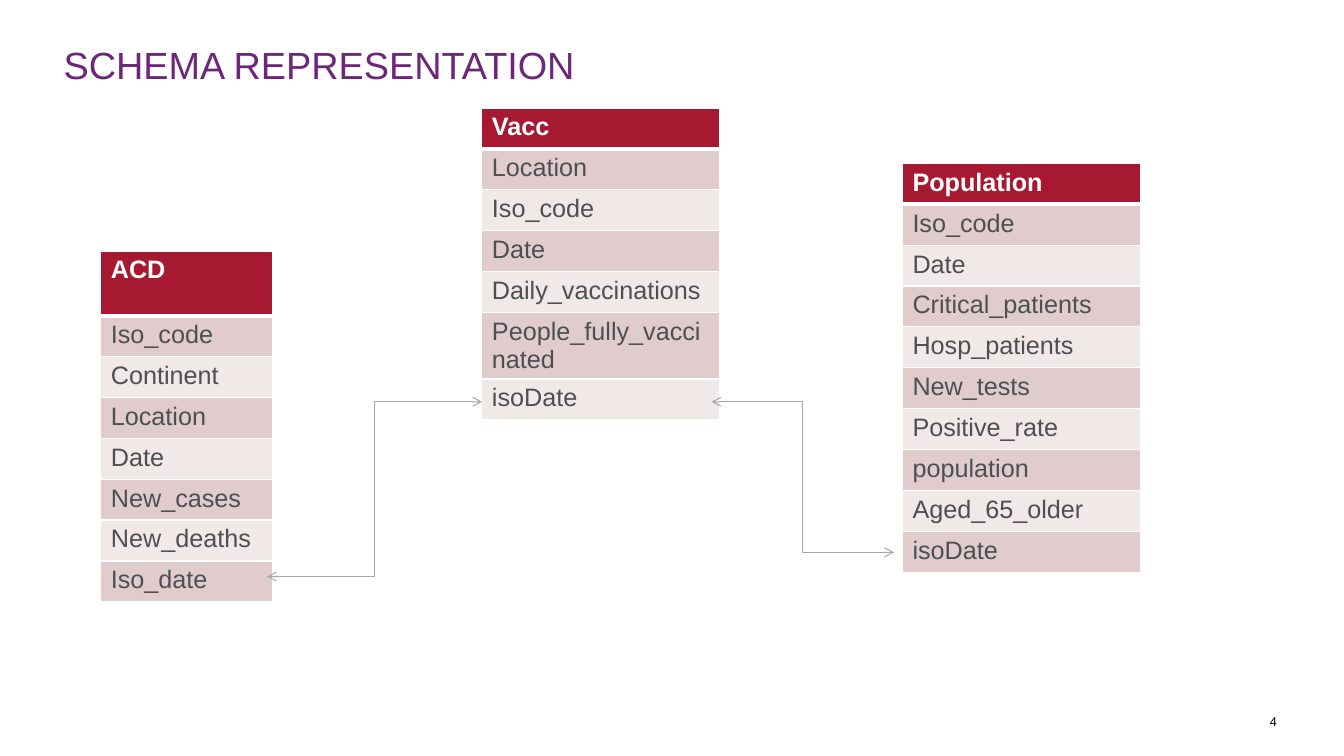
from dataclasses import dataclass

from lxml import etree
from pptx import Presentation
from pptx.dml.color import RGBColor
from pptx.enum.shapes import MSO_CONNECTOR
from pptx.enum.text import MSO_ANCHOR, MSO_AUTO_SIZE, PP_ALIGN
from pptx.oxml.ns import qn
from pptx.util import Pt

ELBOW = MSO_CONNECTOR.ELBOW
MIDDLE = MSO_ANCHOR.MIDDLE
NO_AUTOFIT = MSO_AUTO_SIZE.NONE
LEFT, RIGHT = PP_ALIGN.LEFT, PP_ALIGN.RIGHT


@dataclass(frozen=True)
class Theme:
    font: str = "Arial"
    title: str = "6E267B"
    header: str = "A71930"
    bands: tuple = ("E1CCCD", "F1E8E8")
    field: str = "4D4F53"
    white: str = "FFFFFF"
    line: str = "A6A6A6"
    number: str = "000000"
    title_size: float = 27
    table_size: float = 18
    number_size: float = 9


THEME = Theme()
ROW_HEIGHT = 29.2


def format_text(text_frame, size, color, alignment=LEFT, bold=False):
    paragraph = text_frame.paragraphs[0]
    paragraph.alignment = alignment
    font = paragraph.runs[0].font
    font.name = THEME.font
    font.size = Pt(size)
    font.bold = bold
    font.color.rgb = RGBColor.from_string(color)


def add_border(cell, side, width):
    properties = cell._tc.get_or_add_tcPr()
    border = etree.SubElement(properties, qn(f"a:ln{side}"), w=str(Pt(width)))
    fill = etree.SubElement(border, qn("a:solidFill"))
    etree.SubElement(fill, qn("a:srgbClr"), val=THEME.white)


presentation = Presentation()
presentation.slide_width = Pt(960)
presentation.slide_height = Pt(540)
slide = presentation.slides.add_slide(presentation.slide_layouts[5])

title = slide.shapes.title
title.left, title.top, title.width, title.height = Pt(45.4), Pt(20.9), Pt(864), Pt(50.4)
title.text_frame.text = "SCHEMA REPRESENTATION"
format_text(title.text_frame, THEME.title_size, THEME.title)

number = slide.shapes.add_textbox(Pt(871.2), Pt(501.1), Pt(41), Pt(28.8))
number.text_frame.text = "4"
format_text(number.text_frame, THEME.number_size, THEME.number, RIGHT)

for shape in (title, number):
    text_frame = shape.text_frame
    text_frame.word_wrap = True
    text_frame.auto_size = NO_AUTOFIT
    text_frame.vertical_anchor = MIDDLE
    text_frame.margin_left = text_frame.margin_right = 0

schema = [
    ("ACD", 72, 179.3, 123, 46.2,
     ["Iso_code", "Continent", "Location", "Date", "New_cases", "New_deaths", "Iso_date"]),
    ("Vacc", 344.2, 77.2, 170, ROW_HEIGHT,
     ["Location", "Iso_code", "Date", "Daily_vaccinations", "People_fully_vaccinated", "isoDate"]),
    ("Population", 644.6, 116.7, 170, ROW_HEIGHT,
     ["Iso_code", "Date", "Critical_patients", "Hosp_patients", "New_tests", "Positive_rate",
      "population", "Aged_65_older", "isoDate"]),
]
for name, left, top, width, header_height, fields in schema:
    height = header_height + ROW_HEIGHT * len(fields)
    frame = slide.shapes.add_table(len(fields) + 1, 1, Pt(left), Pt(top), Pt(width), Pt(height))
    table = frame.table
    table.horz_banding = False
    for index, label in enumerate([name, *fields]):
        is_header = index == 0
        table.rows[index].height = Pt(header_height if is_header else ROW_HEIGHT)
        cell = table.cell(index, 0)
        cell.text_frame.text = label
        format_text(cell.text_frame, THEME.table_size,
                    THEME.white if is_header else THEME.field, bold=is_header)
        add_border(cell, "L", 1)
        add_border(cell, "R", 1)
        add_border(cell, "T", 3 if index == 1 else 1)
        add_border(cell, "B", 3 if is_header else 1)
        cell.fill.solid()
        color = THEME.header if is_header else THEME.bands[(index - 1) % 2]
        cell.fill.fore_color.rgb = RGBColor.from_string(color)

links = [(508.3, 287, 638.6, 394.6), (190.8, 411.8, 344.2, 287)]
for start_x, start_y, end_x, end_y in links:
    link = slide.shapes.add_connector(ELBOW, Pt(start_x), Pt(start_y), Pt(end_x), Pt(end_y))
    link.line.color.rgb = RGBColor.from_string(THEME.line)
    link.line.width = Pt(0.75)
    line = link.line._get_or_add_ln()
    for end in ("headEnd", "tailEnd"):
        etree.SubElement(line, qn(f"a:{end}"), type="arrow")
    etree.SubElement(link._element.spPr, qn("a:effectLst"))

presentation.save("out.pptx")
